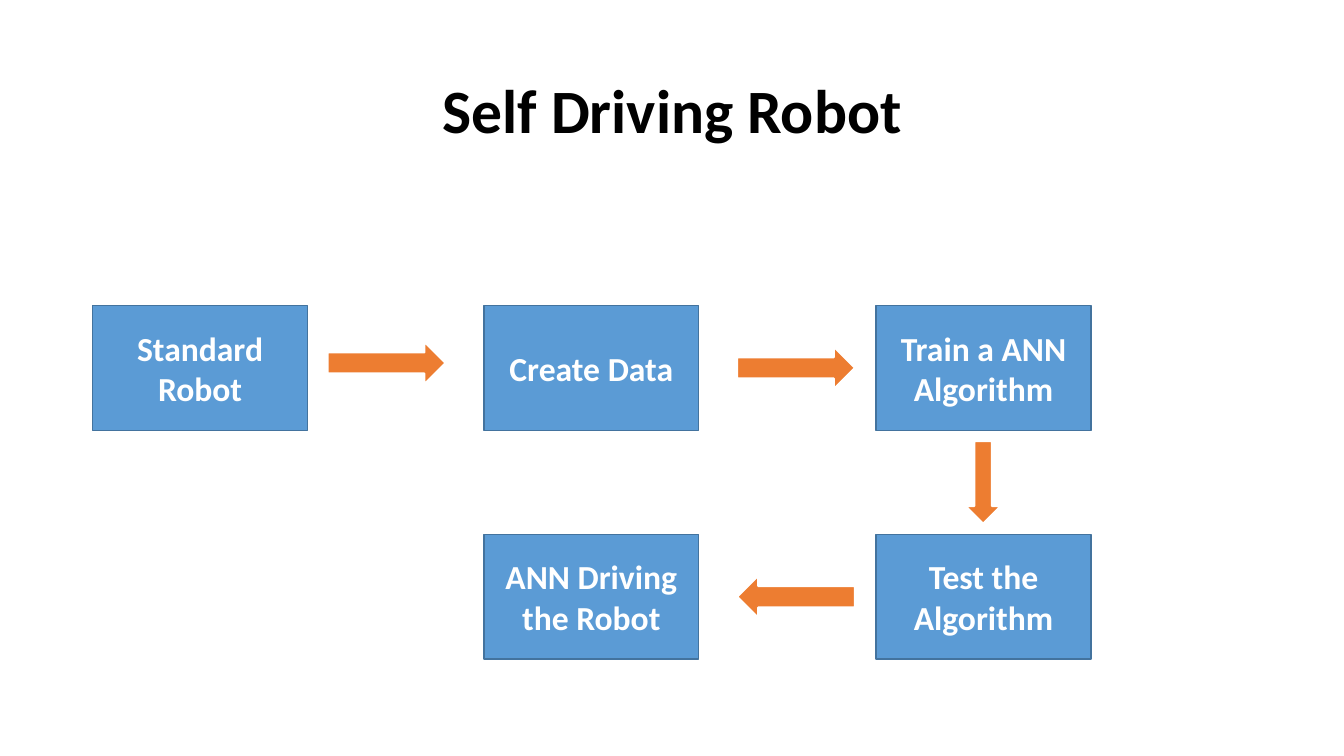
from pptx import Presentation
from pptx.dml.color import RGBColor
from pptx.enum.shapes import MSO_SHAPE
from pptx.enum.text import MSO_ANCHOR, PP_ALIGN
from pptx.util import Pt

PX = 9144
FONT = "Calibri"
BLACK = RGBColor(0x00, 0x00, 0x00)
WHITE = RGBColor(0xFF, 0xFF, 0xFF)
BLUE = RGBColor(0x5B, 0x9B, 0xD5)
DARK_BLUE = RGBColor(0x43, 0x73, 0x9E)
ORANGE = RGBColor(0xED, 0x7D, 0x31)
RECTANGLE = MSO_SHAPE.RECTANGLE
RIGHT_ARROW = MSO_SHAPE.RIGHT_ARROW
MIDDLE = MSO_ANCHOR.MIDDLE
CENTER = PP_ALIGN.CENTER

COLUMNS = (92, 480, 869)
ROWS = (303, 530)
STEP_WIDTH, STEP_HEIGHT = 213, 124

STEPS = (
    ("Standard Robot", 0, 0),
    ("Create Data", 1, 0),
    ("Train a ANN Algorithm", 2, 0),
    ("Test the Algorithm", 2, 1),
    ("ANN Driving the Robot", 1, 1),
)
ARROWS = (
    (325, 339, 117, 42, 0),
    (731, 344, 117, 42, 0),
    (934, 461, 82, 35, 90),
    (731, 571, 117, 42, 180),
)


class FlowSlide:
    """Draws the title, steps and arrows of a flow chart on one slide."""

    def __init__(self, deck):
        self.slide = deck.slides.add_slide(deck.slide_layouts[6])

    def label(self, shape, text, size, color):
        frame = shape.text_frame
        frame.word_wrap = True
        frame.vertical_anchor = MIDDLE
        paragraph = frame.paragraphs[0]
        paragraph.text = text
        paragraph.alignment = CENTER
        font = paragraph.font
        font.name, font.size, font.bold = FONT, Pt(size), True
        font.color.rgb = color
        return paragraph

    def title(self, text, *box):
        heading = self.slide.shapes.add_textbox(*(n * PX for n in box))
        self.label(heading, text, 44, BLACK).line_spacing = 0.9

    def block(self, preset, box, fill, line, line_width):
        block = self.slide.shapes.add_shape(preset, *(n * PX for n in box))
        block.shadow.inherit = False
        block.fill.solid()
        block.fill.fore_color.rgb = fill
        block.line.color.rgb = line
        block.line.width = Pt(line_width)
        return block

    def step(self, text, column, row):
        box = (COLUMNS[column], ROWS[row], STEP_WIDTH, STEP_HEIGHT)
        self.label(self.block(RECTANGLE, box, BLUE, DARK_BLUE, 1), text, 24, WHITE)

    def arrow(self, left, top, width, height, angle):
        box = (left, top, width, height)
        self.block(RIGHT_ARROW, box, ORANGE, WHITE, 1.5).rotation = angle


def main():
    deck = Presentation()
    deck.slide_width, deck.slide_height = 1333 * PX, 750 * PX
    flow = FlowSlide(deck)
    flow.title("Self Driving Robot", 92, 40, 1150, 145)
    for step in STEPS:
        flow.step(*step)
    for arrow in ARROWS:
        flow.arrow(*arrow)
    deck.save("out.pptx")


if __name__ == "__main__":
    main()
